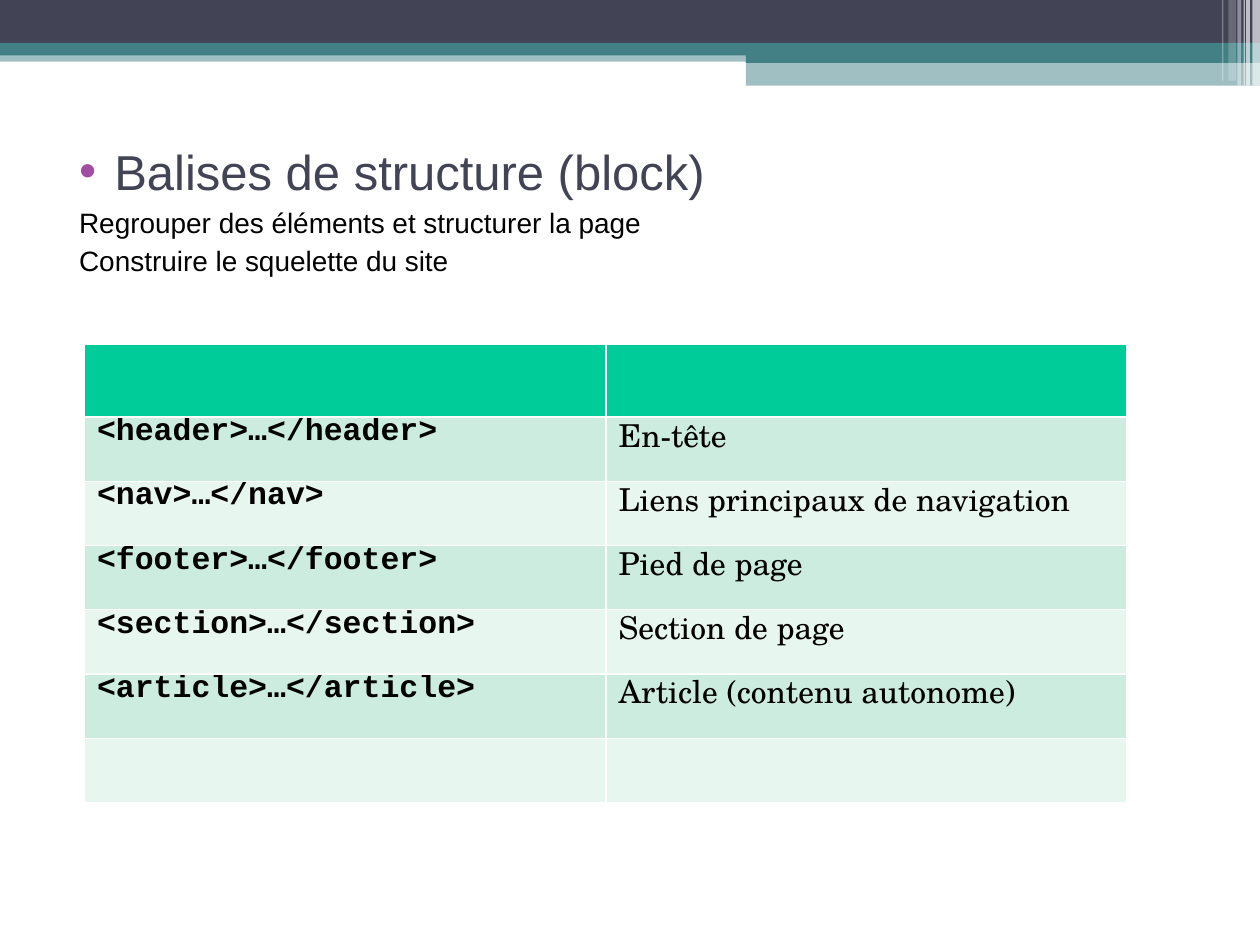
from lxml.etree import SubElement
from pptx import Presentation
from pptx.dml.color import RGBColor
from pptx.enum.shapes import MSO_SHAPE
from pptx.oxml.ns import qn
from pptx.util import Inches, Pt

NAVY = RGBColor(0x42, 0x44, 0x56)
TEAL = RGBColor(0x43, 0x80, 0x86)
WHITE = RGBColor(0xFF, 0xFF, 0xFF)
BLACK = RGBColor(0x00, 0x00, 0x00)
PURPLE = RGBColor(0xA0, 0x4D, 0xA3)
HEADER_GREEN = RGBColor(0x00, 0xCC, 0x99)
BAND_GREENS = [RGBColor(0xCB, 0xEC, 0xDE), RGBColor(0xE7, 0xF6, 0xEF)]


def add_text(paragraph, text, font_name, size, color, bold=False):
    run = paragraph.add_run()
    run.text = text
    run.font.name = font_name
    run.font.size = Pt(size)
    run.font.color.rgb = color
    run.font.bold = bold


def set_borders(cell, color, width):
    properties = cell._tc.get_or_add_tcPr()
    for index, side in enumerate(("a:lnL", "a:lnR", "a:lnT", "a:lnB")):
        line = properties.makeelement(qn(side), {"w": str(Pt(width))})
        fill = SubElement(line, qn("a:solidFill"))
        SubElement(fill, qn("a:srgbClr"), val=str(color))
        properties.insert(index, line)


presentation = Presentation()
presentation.slide_width = Inches(10)
presentation.slide_height = Inches(7.5)
slide = presentation.slides.add_slide(presentation.slide_layouts[6])

banner_bars = [
    (0, 0.4, 10, 0.09, TEAL, 50),
    (0, 0, 10, 0.34, NAVY, 100),
    (0, 0.34, 10, 0.1, TEAL, 100),
    (5.92, 0.4, 4.08, 0.1, TEAL, 100),
    (5.92, 0.48, 4.08, 0.2, TEAL, 50),
    (9.94, 0, 0.06, 0.68, WHITE, 65),
    (9.89, 0, 0.03, 0.68, WHITE, 65),
    (9.87, 0, 0.01, 0.68, WHITE, 60),
    (9.82, 0, 0.03, 0.68, WHITE, 40),
    (9.75, 0, 0.06, 0.64, WHITE, 20),
    (9.7, 0, 0.01, 0.64, WHITE, 30),
]
for left, top, width, height, color, opacity in banner_bars:
    bar = slide.shapes.add_shape(
        MSO_SHAPE.RECTANGLE, Inches(left), Inches(top), Inches(width), Inches(height))
    bar.shadow.inherit = False
    bar.line.fill.background()
    bar.fill.solid()
    bar.fill.fore_color.rgb = color
    if opacity < 100:
        color_element = bar._element.spPr.find(qn("a:solidFill"))[0]
        SubElement(color_element, qn("a:alpha"), val=str(opacity * 1000))

introduction = slide.shapes.add_textbox(Inches(0.43), Inches(1.07), Inches(9), Inches(5.75))
text_frame = introduction.text_frame
text_frame.word_wrap = True
introduction_lines = [
    ("Balises de structure (block)", 28, NAVY),
    ("Regrouper des éléments et structurer la page", 16, BLACK),
    ("Construire le squelette du site", 16, BLACK),
]
for index, (text, size, color) in enumerate(introduction_lines):
    paragraph = text_frame.add_paragraph() if index else text_frame.paragraphs[0]
    paragraph.space_before = Pt(3)
    properties = paragraph._p.get_or_add_pPr()
    properties.set("marL", str(Inches(0.38)))
    properties.set("indent", str(Inches(-0.28)))
    if index == 0:
        bullet_color = SubElement(properties, qn("a:buClr"))
        SubElement(bullet_color, qn("a:srgbClr"), val=str(PURPLE))
        SubElement(properties, qn("a:buFont"), typeface="Arial")
        SubElement(properties, qn("a:buChar"), char="•")
    else:
        SubElement(properties, qn("a:buNone"))
    add_text(paragraph, text, "Arial", size, color)

tag_rows = [
    ("", ""),
    ("<header>…</header>", "En-tête"),
    ("<nav>…</nav>", "Liens principaux de navigation"),
    ("<footer>…</footer>", "Pied de page"),
    ("<section>…</section>", "Section de page"),
    ("<article>…</article>", "Article (contenu autonome)"),
    ("", ""),
]
column_styles = [("Courier New", True, 0.61), ("TeX Gyre Schola", False, 0.64)]
table = slide.shapes.add_table(
    len(tag_rows), 2, Inches(0.67), Inches(2.73), Inches(8.27), Inches(3.65)).table
table.columns[0].width = Inches(4.14)
table.columns[1].width = Inches(4.13)
for row_index, texts in enumerate(tag_rows):
    table.rows[row_index].height = Inches(0.51 if row_index else 0.58)
    for column_index, text in enumerate(texts):
        cell = table.cell(row_index, column_index)
        cell.fill.solid()
        cell.fill.fore_color.rgb = BAND_GREENS[(row_index - 1) % 2] if row_index else HEADER_GREEN
        set_borders(cell, WHITE, 0.75)
        if text:
            font_name, bold, line_spacing = column_styles[column_index]
            paragraph = cell.text_frame.paragraphs[0]
            paragraph.line_spacing = line_spacing
            add_text(paragraph, text, font_name, 18, BLACK, bold)

presentation.save("out.pptx")
